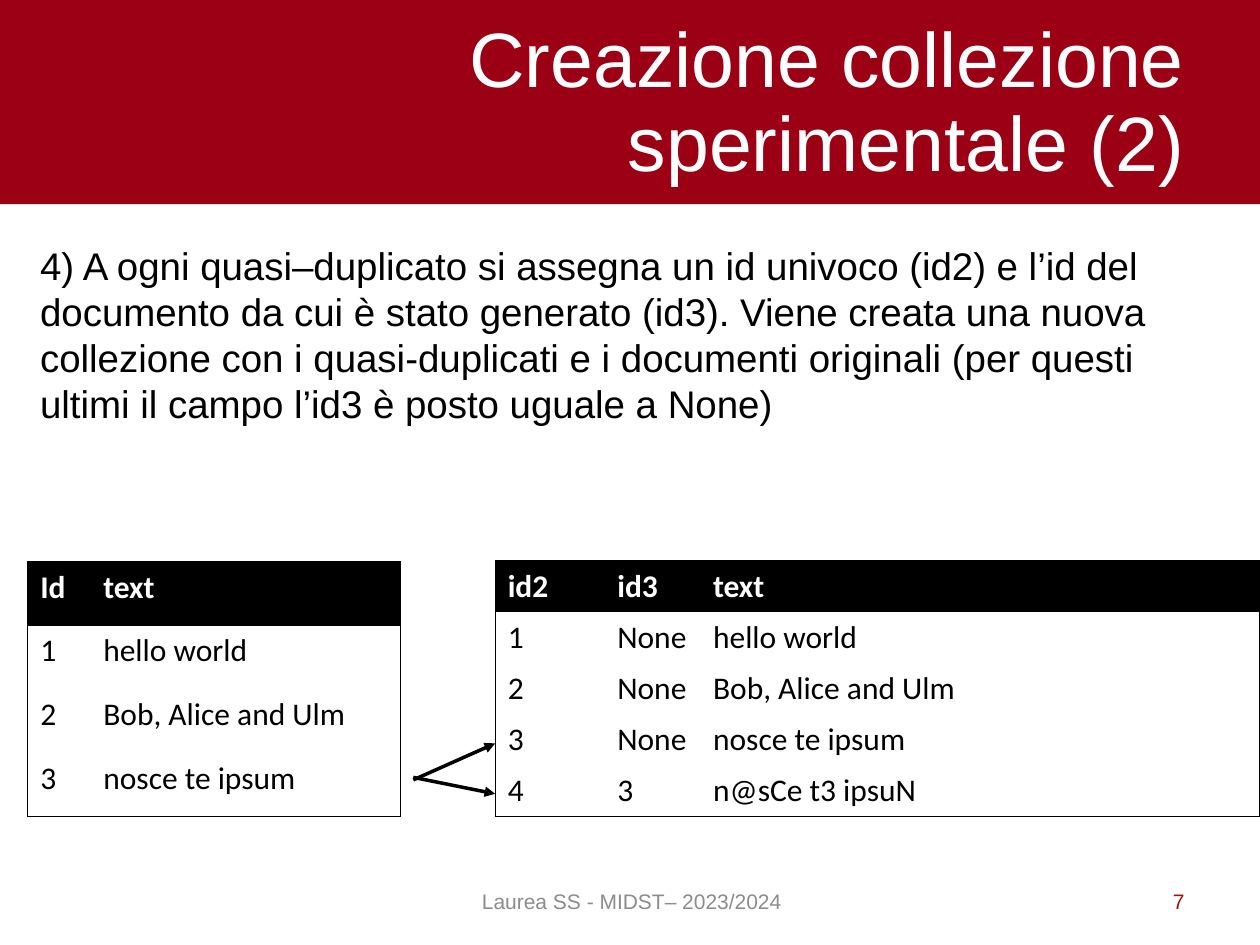
from dataclasses import dataclass

import pptx
import pptx.dml.color
import pptx.enum.shapes
import pptx.enum.text
import pptx.oxml.ns
import pptx.oxml.xmlchemy
import pptx.util
from lxml import etree

Inches = pptx.util.Inches
Pt = pptx.util.Pt
Align = pptx.enum.text.PP_ALIGN
Anchor = pptx.enum.text.MSO_ANCHOR
qn = pptx.oxml.ns.qn

BLACK = "000000"
WHITE = "FFFFFF"
CRIMSON = "9B0014"


@dataclass
class Label:
    text: str
    left: float
    top: float
    width: float
    height: float
    size: int
    color: str
    align: Align = Align.LEFT
    anchor: Anchor = Anchor.MIDDLE
    line_spacing: float = 1.0


@dataclass
class Grid:
    left: float
    top: float
    columns: list[float]
    row_height: float
    rows: list[list[str]]


@dataclass
class Arrow:
    start: tuple[float, float]
    end: tuple[float, float]


LABELS = [
    Label("Creazione collezione sperimentale (2)", 2.31, 0.11, 7.19, 1.44,
          44, WHITE, Align.RIGHT, line_spacing=0.9),
    Label("4) A ogni quasi–duplicato si assegna un id univoco (id2) e l’id del "
          "documento da cui è stato generato (id3). Viene creata una nuova "
          "collezione con i quasi-duplicati e i documenti originali (per questi "
          "ultimi il campo l’id3 è posto uguale a None)",
          0.22, 1.87, 9.57, 1.96, 22, BLACK, anchor=Anchor.TOP),
    Label("Laurea SS - MIDST– 2023/2024", 3.06, 6.95, 3.91, 0.4,
          12, "8C8C8C", Align.CENTER),
    Label("7", 7.17, 6.95, 2.33, 0.4, 12, "9E1213", Align.RIGHT),
]

GRIDS = [
    Grid(0.22, 4.46, [0.5, 2.46], 0.505, [
        ["Id", "text"],
        ["1", "hello world"],
        ["2", "Bob, Alice and Ulm"],
        ["3", "nosce te ipsum"],
    ]),
    Grid(3.93, 4.45, [0.87, 0.76, 4.44], 0.406, [
        ["id2", "id3", "text"],
        ["1", "None", "hello world"],
        ["2", "None", "Bob, Alice and Ulm"],
        ["3", "None", "nosce te ipsum"],
        ["4", "3", "n@sCe t3 ipsuN"],
    ]),
]

ARROWS = [
    Arrow((3.28, 6.17), (3.93, 6.3)),
    Arrow((3.28, 6.19), (3.93, 5.9)),
]


def rgb(value: str) -> pptx.dml.color.RGBColor:
    return pptx.dml.color.RGBColor.from_string(value)


def add_span(para, text: str, font: str, size: int, color: str, bold: bool = False) -> None:
    span = para.add_run()
    span.text = text
    span.font.name = font
    span.font.size = Pt(size)
    span.font.bold = bold
    span.font.color.rgb = rgb(color)


def draw_band(page) -> None:
    band = page.shapes.add_shape(pptx.enum.shapes.MSO_SHAPE.RECTANGLE,
                                 0, 0, Inches(10), Inches(1.62))
    band.shadow.inherit = False
    band.fill.solid()
    band.fill.fore_color.rgb = rgb(CRIMSON)
    band.line.fill.background()


def draw_label(page, label: Label) -> None:
    box = page.shapes.add_textbox(Inches(label.left), Inches(label.top),
                                  Inches(label.width), Inches(label.height))
    frame = box.text_frame
    frame.word_wrap = True
    frame.vertical_anchor = label.anchor
    para = frame.paragraphs[0]
    para.alignment = label.align
    para.line_spacing = label.line_spacing
    add_span(para, label.text, "Arial", label.size, label.color)


def set_borders(cell, edges: dict[str, bool]) -> None:
    properties = cell._tc.get_or_add_tcPr()
    for side, visible in edges.items():
        line = etree.SubElement(properties, qn(f"a:ln{side}"), w=str(Pt(0.75)))
        if visible:
            fill = etree.SubElement(line, qn("a:solidFill"))
            etree.SubElement(fill, qn("a:srgbClr"), val=BLACK)
        else:
            etree.SubElement(line, qn("a:noFill"))


def draw_grid(page, grid: Grid) -> None:
    row_count, column_count = len(grid.rows), len(grid.columns)
    table = page.shapes.add_table(
        row_count, column_count, Inches(grid.left), Inches(grid.top),
        Inches(sum(grid.columns)), Inches(grid.row_height * row_count)).table
    table.horz_banding = False
    for column, width in zip(table.columns, grid.columns):
        column.width = Inches(width)
    for row_index, texts in enumerate(grid.rows):
        table.rows[row_index].height = Inches(grid.row_height)
        header = row_index == 0
        for column_index, text in enumerate(texts):
            cell = table.cell(row_index, column_index)
            set_borders(cell, {
                "L": column_index == 0,
                "R": column_index == column_count - 1,
                "T": header,
                "B": header or row_index == row_count - 1,
            })
            if header:
                cell.fill.solid()
                cell.fill.fore_color.rgb = rgb(BLACK)
            else:
                cell.fill.background()
            add_span(cell.text_frame.paragraphs[0], text, "Calibri", 18,
                     WHITE if header else BLACK, header)


def draw_arrow(page, arrow: Arrow) -> None:
    points = [Inches(value) for value in arrow.start + arrow.end]
    connector = page.shapes.add_connector(
        pptx.enum.shapes.MSO_CONNECTOR.STRAIGHT, *points)
    connector.line.color.rgb = rgb(BLACK)
    connector.line.width = Pt(2)
    etree.SubElement(connector.line._get_or_add_ln(), qn("a:tailEnd"), type="triangle")
    etree.SubElement(connector._element.spPr, qn("a:effectLst"))


def main() -> None:
    deck = pptx.Presentation()
    deck.slide_width = Inches(10)
    deck.slide_height = Inches(7.5)
    page = deck.slides.add_slide(deck.slide_layouts[6])
    draw_band(page)
    for label in LABELS:
        draw_label(page, label)
    for grid in GRIDS:
        draw_grid(page, grid)
    for arrow in ARROWS:
        draw_arrow(page, arrow)
    deck.save("out.pptx")


if __name__ == "__main__":
    main()
